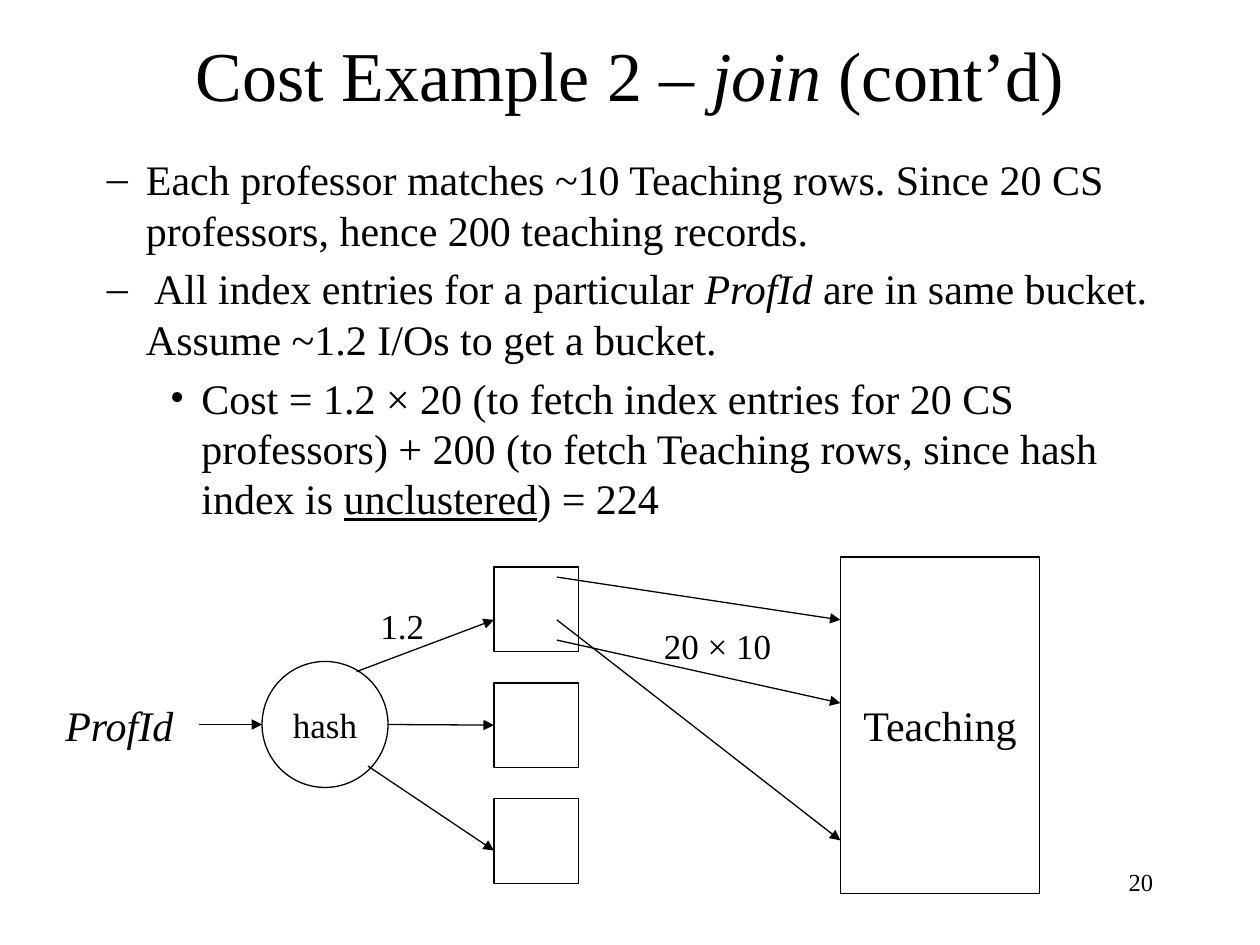
from lxml.etree import SubElement
from pptx import Presentation
from pptx.dml.color import RGBColor
from pptx.enum.shapes import MSO_CONNECTOR, MSO_SHAPE
from pptx.enum.text import MSO_ANCHOR as Anchor, PP_ALIGN as Align
from pptx.oxml.ns import qn
from pptx.util import Inches, Pt

FONT = "Times New Roman"
BLACK = "000000"
WHITE = "FFFFFF"


def color(value):
    """Turn a hex string into a colour."""
    return RGBColor.from_string(value)


def write(paragraph, parts, size, align=Align.LEFT):
    """Fill a paragraph with (text, style) runs, style being i, u or empty."""
    paragraph.alignment = align
    for text, style in parts:
        run = paragraph.add_run()
        run.text = text
        font = run.font
        font.name, font.size = FONT, Pt(size)
        font.color.rgb = color(BLACK)
        if style:
            font.italic = style == "i"
            font.underline = style == "u"


def add_label(slide, box, text, size, style="", align=Align.LEFT, wrap=False):
    """Add a short text box."""
    shape = slide.shapes.add_textbox(*map(Inches, box))
    shape.text_frame.word_wrap = wrap
    write(shape.text_frame.paragraphs[0], [(text, style)], size, align)


def add_node(slide, kind, box, text="", size=20):
    """Add an outlined white shape with an optional centred caption."""
    shape = slide.shapes.add_shape(kind, *map(Inches, box))
    shape.shadow.inherit = False
    shape.fill.solid()
    shape.fill.fore_color.rgb = color(WHITE)
    shape.line.color.rgb = color(BLACK)
    shape.line.width = Pt(0.75)
    if text:
        frame = shape.text_frame
        frame.word_wrap = False
        frame.vertical_anchor = Anchor.MIDDLE
        write(frame.paragraphs[0], [(text, "")], size, Align.CENTER)
    return shape


def add_arrow(slide, start, end):
    """Add a thin line with a triangle at its end."""
    arrow = slide.shapes.add_connector(
        MSO_CONNECTOR.STRAIGHT, *map(Inches, (*start, *end)))
    arrow.line.color.rgb = color(BLACK)
    arrow.line.width = Pt(0.75)
    SubElement(arrow.line._get_or_add_ln(), qn("a:tailEnd"), type="triangle")
    SubElement(arrow._element.spPr, qn("a:effectLst"))
    return arrow


def add_title(slide, box, parts):
    """Place and format the title placeholder."""
    title = slide.shapes.title
    title.left, title.top, title.width, title.height = map(Inches, box)
    title.text_frame.vertical_anchor = Anchor.MIDDLE
    write(title.text_frame.paragraphs[0], parts, 40, Align.CENTER)


def add_bullets(slide, box, items):
    """Add a bulleted list of (level, parts) items."""
    styles = {1: ("–", 0.81, 0.31), 2: ("•", 1.25, 0.25)}
    frame = slide.shapes.add_textbox(*map(Inches, box)).text_frame
    frame.word_wrap = True
    for index, (level, parts) in enumerate(items):
        paragraph = frame.add_paragraph() if index else frame.paragraphs[0]
        bullet, margin, hanging = styles[level]
        paragraph.level = level
        if index:
            paragraph.space_before = Pt(4.8)
        properties = paragraph._p.get_or_add_pPr()
        properties.set("marL", str(Inches(margin)))
        properties.set("indent", str(-Inches(hanging)))
        SubElement(properties, qn("a:buFont"), typeface=FONT)
        SubElement(properties, qn("a:buChar"), char=bullet)
        write(paragraph, parts, 24)


def add_hash_diagram(slide, left, top):
    """Draw the hash index lookup from key to buckets to table rows."""
    def at(x, y, *size):
        return (left + x, top + y, *size)

    buckets = [add_node(slide, MSO_SHAPE.RECTANGLE,
                        at(3.5, 0.08 + row * 0.92, 0.67, 0.67))
               for row in range(3)]
    add_node(slide, MSO_SHAPE.RECTANGLE, at(6.25, 0, 1.58, 2.67), "Teaching", 24)
    add_node(slide, MSO_SHAPE.OVAL, at(1.66, 0.83, 1, 1), "hash")

    arrows = [
        ((2.41, 0.91), (3.5, 0.5)),
        ((2.5, 1.66), (3.5, 2.33)),
        ((4, 0.16), (6.25, 0.5)),
        ((4, 0.5), (6.25, 2.25)),
        ((4, 0.66), (6.25, 1.16)),
        ((1.16, 1.33), (1.66, 1.33)),
    ]
    for start, end in arrows:
        add_arrow(slide, at(*start), at(*end))
    middle = add_arrow(slide, at(2.66, 1.33), at(3.5, 1.33))
    middle.end_connect(buckets[1], 1)

    add_label(slide, at(2.5, 0.33, 0.55, 0.43), "1.2", 20)
    add_label(slide, at(4.75, 0.49, 1.05, 0.43), "20 × 10", 20, wrap=True)
    add_label(slide, at(0, 1.08, 1.07, 0.5), "ProfId", 24, "i")


def main():
    """Build the slide and save it."""
    presentation = Presentation()
    presentation.slide_width, presentation.slide_height = Inches(10), Inches(7.5)
    slide = presentation.slides.add_slide(presentation.slide_layouts[5])
    add_title(slide, (0.75, 0.17, 8.5, 0.83),
              [("Cost Example 2 – ", ""), ("join", "i"), (" (cont’d)", "")])
    add_bullets(slide, (0.25, 1.17, 9.25, 3.08), [
        (1, [("Each professor matches ~10 Teaching rows. Since 20 CS "
              "professors, hence 200 teaching records.", "")]),
        (1, [(" All index entries for a particular ", ""), ("ProfId", "i"),
             (" are in same bucket. Assume ~1.2 I/Os to get a bucket.", "")]),
        (2, [("Cost = 1.2 × 20 (to fetch index entries for 20 CS professors) "
              "+ 200 (to fetch Teaching rows, since hash index is ", ""),
             ("unclustered", "u"), (") = 224", "")]),
    ])
    add_hash_diagram(slide, 0.42, 4.42)
    add_label(slide, (7.17, 6.83, 2.08, 0.5), "20", 14, align=Align.RIGHT, wrap=True)
    presentation.save("out.pptx")


if __name__ == "__main__":
    main()
